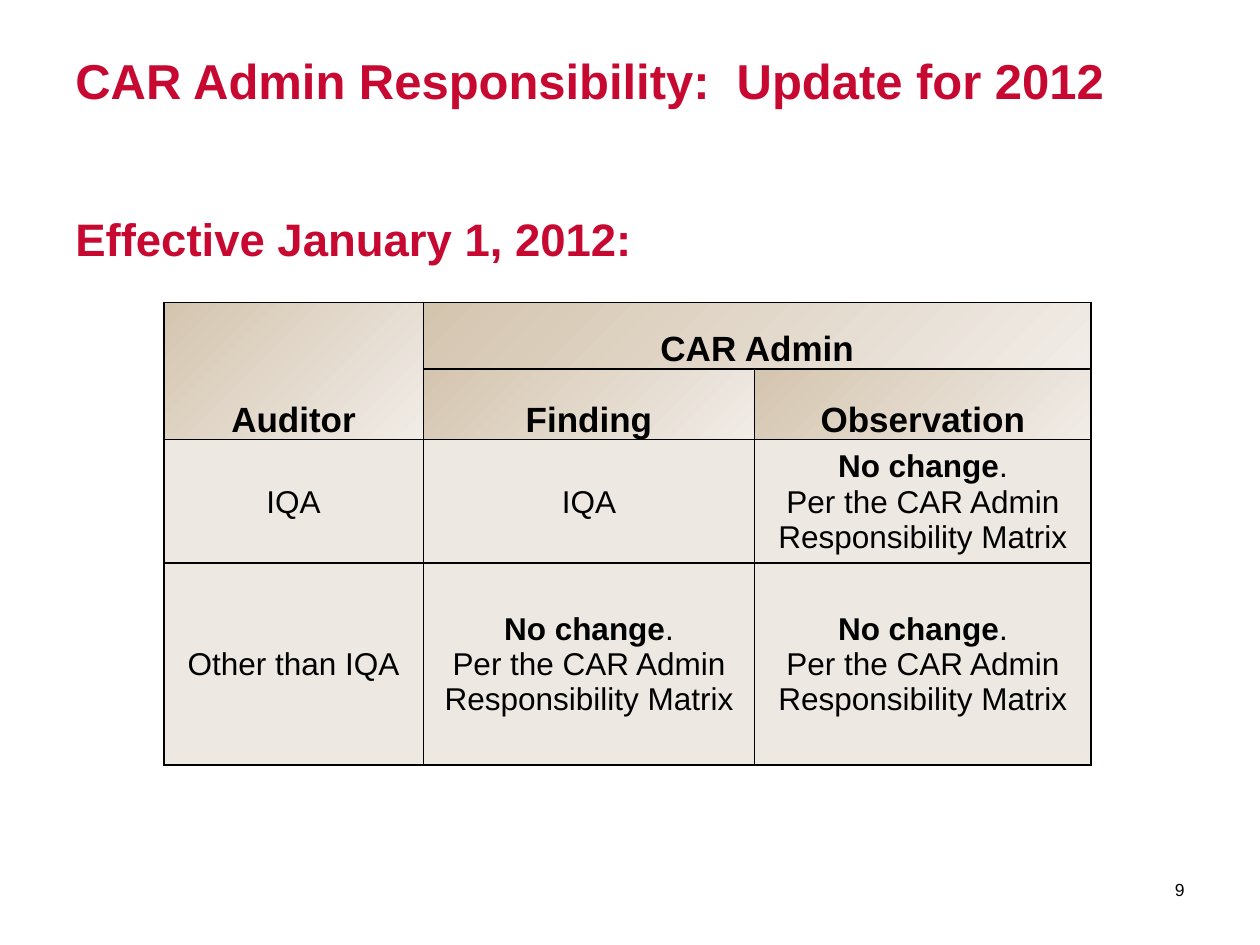
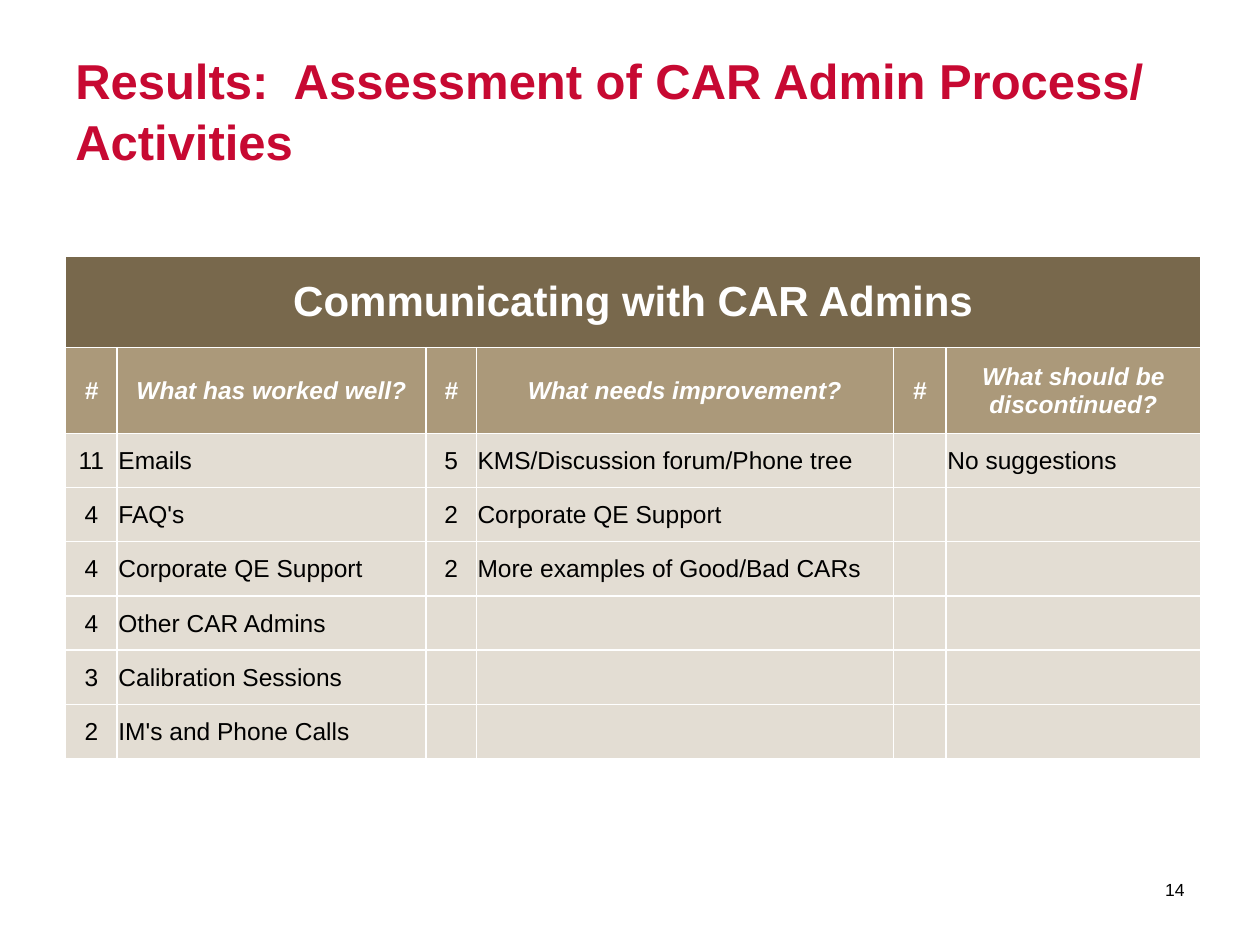
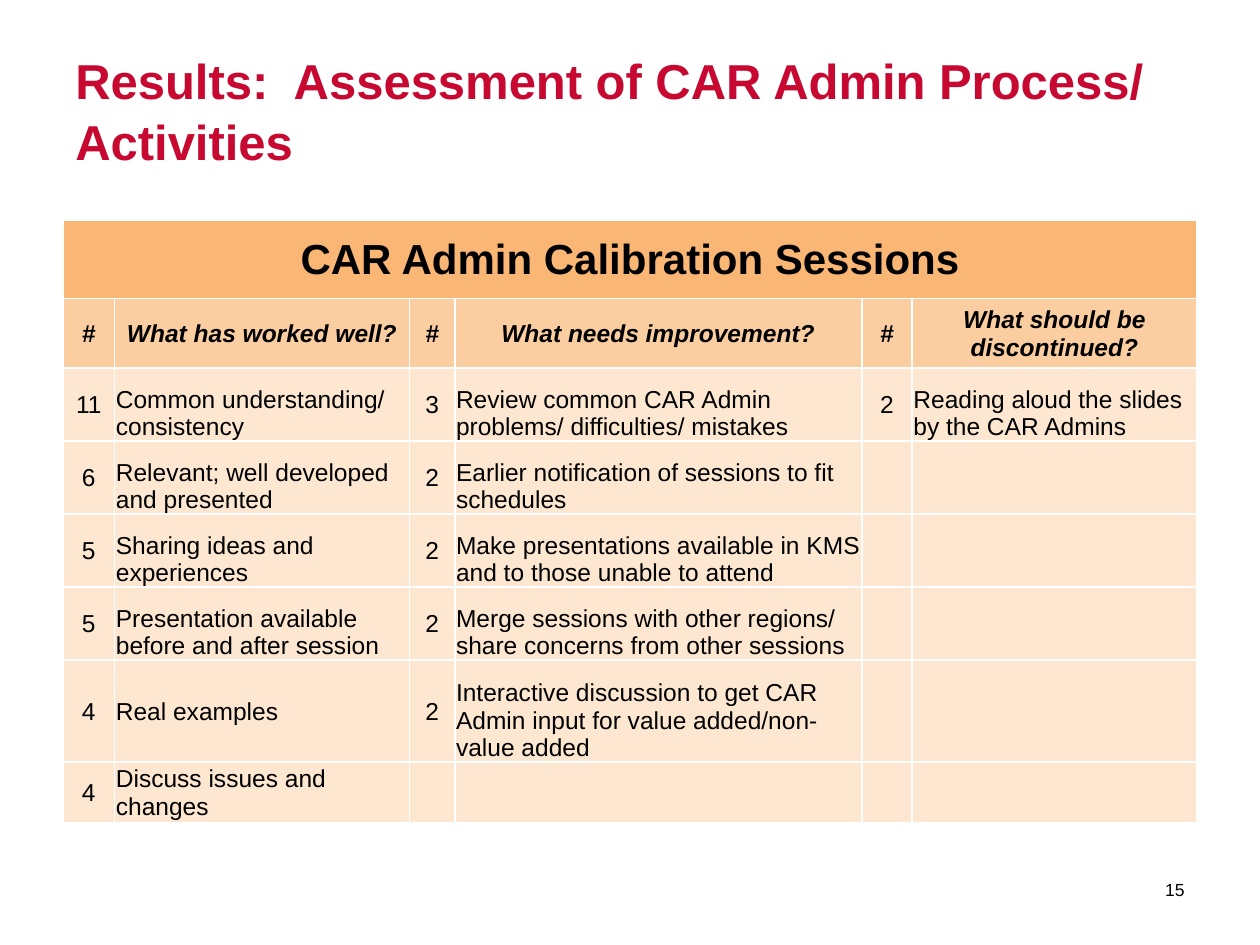
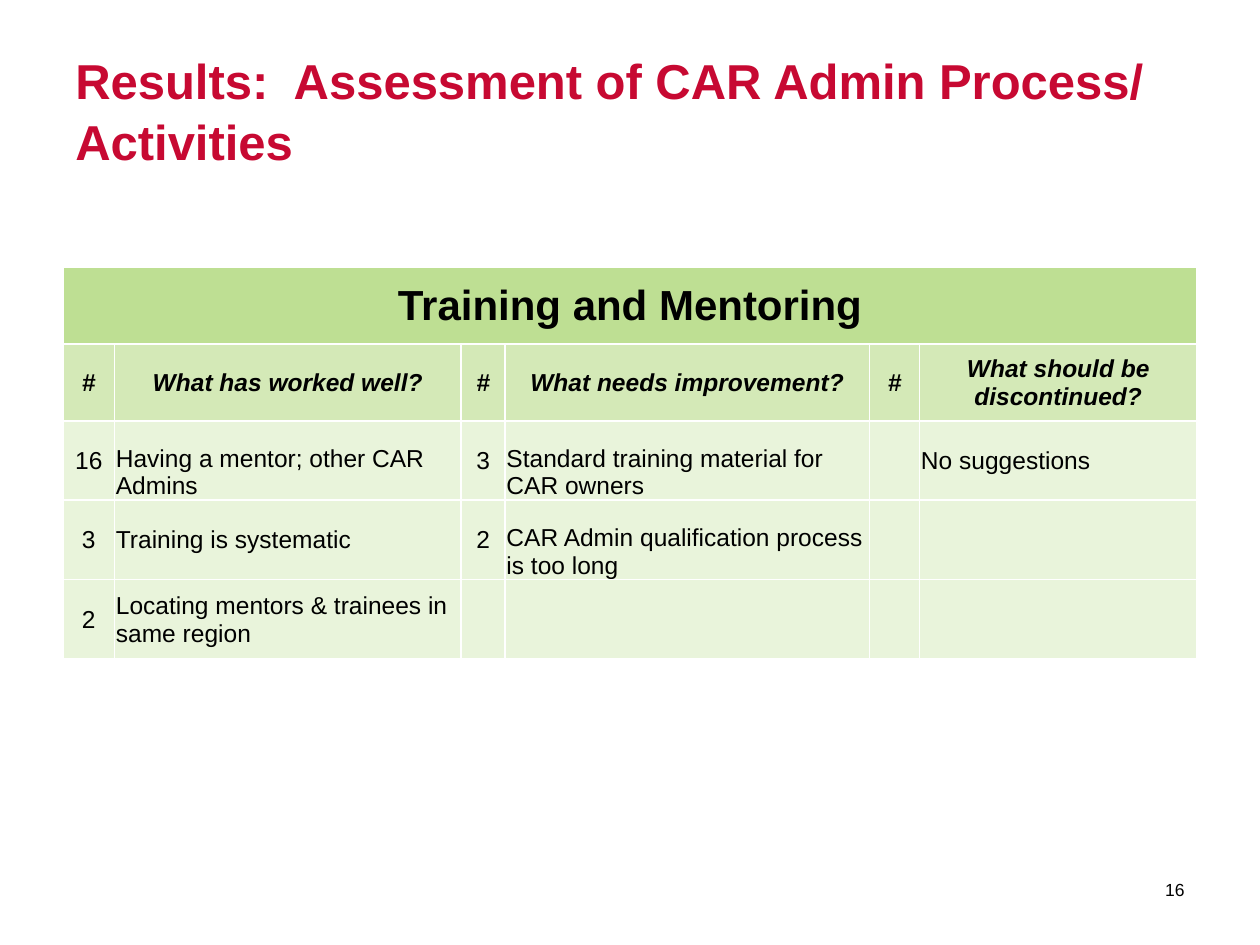
import dataclasses

import lxml.etree
import pptx
import pptx.dml.color
import pptx.enum.text
import pptx.oxml.ns
import pptx.util

Inches = pptx.util.Inches
Align = pptx.enum.text.PP_ALIGN
Anchor = pptx.enum.text.MSO_ANCHOR


def rgb(code):
    """Return the colour for a hex code."""
    return pptx.dml.color.RGBColor.from_string(code)


@dataclasses.dataclass(frozen=True)
class Theme:
    """Colours, font and type sizes shared by all slides."""

    font: str = "Arial"
    red: str = "C70932"
    black: str = "000000"
    white: str = "FFFFFF"
    sand_dark: str = "D4C5AF"
    sand_light: str = "F1ECE7"
    sand_body: str = "EDE9E2"
    title: int = 28
    subtitle: int = 26
    banner: int = 24
    matrix_head: int = 20
    matrix_body: int = 18
    survey: int = 14
    number: int = 10
    character_width: float = 0.09


@dataclasses.dataclass(frozen=True)
class Box:
    """A region of the slide in inches."""

    left: float
    top: float
    width: float
    height: float

    def lengths(self):
        """Return the four lengths for a new shape."""
        return [Inches(value) for value in dataclasses.astuple(self)]


@dataclasses.dataclass(frozen=True)
class Survey:
    """Content and look of one survey table."""

    number: int
    box: Box
    heading: str
    fills: tuple
    head_color: str
    columns: tuple
    heights: tuple
    answers: tuple


THEME = Theme()
TITLE_BOX = Box(0.5, 0.3, 9, 1.04)
SUBTITLE_BOX = Box(0.5, 1.57, 9, 5.13)
NUMBER_BOX = Box(8.8, 6.86, 0.7, 0.4)
MATRIX_BOX = Box(1.3, 2.4, 7.36, 3.67)
SURVEY_TITLE = "Results:  Assessment of CAR Admin Process/ Activities"
QUESTIONS = (
    "#", "What has worked well?",
    "#", "What needs improvement?",
    "#", "What should be discontinued?",
)
UNCHANGED = (
    (("No change", True), (".", False)),
    (("Per the CAR Admin Responsibility Matrix", False),),
)

SURVEYS = (
    Survey(
        14, Box(0.52, 2.03, 9, 4), "Communicating with CAR Admins",
        ("78684C", "AB997A", "E3DDD3"), THEME.white,
        (0.41, 2.45, 0.4, 3.31, 0.42, 2.02),
        (0.73, 0.68) + (0.43,) * 6,
        (
            ("11", "Emails", "5", "KMS/Discussion forum/Phone tree", "", "No suggestions"),
            ("4", "FAQ's", "2", "Corporate QE Support"),
            ("4", "Corporate QE Support", "2", "More examples of Good/Bad CARs"),
            ("4", "Other CAR Admins"),
            ("3", "Calibration Sessions"),
            ("2", "IM's and Phone Calls"),
        ),
    ),
    Survey(
        15, Box(0.5, 1.75, 9, 4.77), "CAR Admin Calibration Sessions",
        ("F9B674", "FBCEA2", "FDE7D1"), THEME.black,
        (0.41, 2.34, 0.36, 3.23, 0.4, 2.26),
        (0.62, 0.55) + (0.58,) * 4 + (0.81, 0.29),
        (
            ("11", "Common understanding/ consistency",
             "3", "Review common CAR Admin problems/ difficulties/ mistakes",
             "2", "Reading aloud the slides by the CAR Admins"),
            ("6", "Relevant; well developed and presented",
             "2", "Earlier notification of sessions to fit schedules"),
            ("5", "Sharing ideas and experiences",
             "2", "Make presentations available in KMS and to those unable to attend"),
            ("5", "Presentation available before and after session",
             "2", "Merge sessions with other regions/ share concerns from other sessions"),
            ("4", "Real examples",
             "2", "Interactive discussion to get CAR Admin input for value added/non-value added"),
            ("4", "Discuss issues and changes"),
        ),
    ),
    Survey(
        16, Box(0.5, 2.12, 9, 3.1), "Training and Mentoring",
        ("BEDF93", "D4E9B7", "E9F4DB"), THEME.black,
        (0.41, 2.75, 0.35, 2.89, 0.4, 2.2),
        (0.61, 0.61) + (0.63,) * 3,
        (
            ("16", "Having a mentor; other CAR Admins",
             "3", "Standard training material for CAR owners", "", "No suggestions"),
            ("3", "Training is systematic",
             "2", "CAR Admin qualification process is too long"),
            ("2", "Locating mentors & trainees in same region"),
        ),
    ),
)


def apply(target, formats):
    """Set every attribute named in a dict of format values."""
    for name, value in formats.items():
        setattr(target, name, value)


def write(frame, lines, size, color, align=Align.LEFT, italic=False):
    """Write lines of (text, bold) spans into a text frame."""
    for index, line in enumerate(lines):
        para = frame.add_paragraph() if index else frame.paragraphs[0]
        para.alignment = align
        for text, bold in line:
            span = para.add_run()
            span.text = text
            apply(span.font, {
                "name": THEME.font, "size": pptx.util.Pt(size),
                "bold": bold, "italic": italic,
            })
            span.font.color.rgb = rgb(color)


def add_text(page, box, text, size, color, bold, align, formats):
    """Add one text box with a single paragraph."""
    frame = page.shapes.add_textbox(*box.lengths()).text_frame
    apply(frame, {"word_wrap": True, **formats})
    write(frame, [[(text, bold)]], size, color, align)
    return frame


def add_heading(page, box, text, size):
    """Add a red heading at the top of its box."""
    frame = add_text(page, box, text, size, THEME.red, True, Align.LEFT,
                     {"margin_top": Inches(0.09), "vertical_anchor": Anchor.TOP})
    frame.paragraphs[0].line_spacing = 1.03


def add_page(deck, title, number):
    """Add a slide with its title and page number."""
    page = deck.slides.add_slide(deck.slide_layouts[6])
    add_heading(page, TITLE_BOX, title, THEME.title)
    add_text(page, NUMBER_BOX, str(number), THEME.number, THEME.black, False,
             Align.RIGHT, {"vertical_anchor": Anchor.MIDDLE})
    return page


def add_borders(cell, color):
    """Draw a one-point line on all four sides of a cell."""
    properties = cell._tc.get_or_add_tcPr()
    qn = pptx.oxml.ns.qn
    for index, side in enumerate(("lnL", "lnR", "lnT", "lnB")):
        line = lxml.etree.Element(qn(f"a:{side}"), w=str(pptx.util.Pt(1)))
        solid = lxml.etree.SubElement(line, qn("a:solidFill"))
        lxml.etree.SubElement(solid, qn("a:srgbClr"), val=color)
        properties.insert(index, line)


def add_grid(page, box, columns, heights, border):
    """Add a plain table with bordered cells and narrow margins."""
    table = page.shapes.add_table(len(heights), len(columns), *box.lengths()).table
    apply(table, {"first_row": False, "horz_banding": False})
    for column, width in zip(table.columns, columns):
        column.width = Inches(width)
    for row, height in zip(table.rows, heights):
        row.height = Inches(height)
    for cell in table.iter_cells():
        apply(cell, {
            "margin_left": Inches(0.01), "margin_right": Inches(0.01),
            "margin_top": Inches(0.01), "margin_bottom": 0,
            "vertical_anchor": Anchor.MIDDLE,
        })
        add_borders(cell, border)
    return table


def fill_solid(cell, color):
    """Fill a cell with one colour."""
    cell.fill.solid()
    cell.fill.fore_color.rgb = rgb(color)


def fill_gradient(cell):
    """Fill a cell with the diagonal sand gradient."""
    cell.fill.gradient()
    cell.fill.gradient_angle = 315
    for stop, color in zip(cell.fill.gradient_stops, (THEME.sand_dark, THEME.sand_light)):
        stop.color.rgb = rgb(color)


def add_matrix(page, box):
    """Add the table of CAR Admin responsibility by auditor."""
    table = add_grid(page, box, (2.06, 2.63, 2.67), (0.53, 0.56, 0.98, 1.6), THEME.black)
    heads = (("Auditor", "CAR Admin", ""), ("", "Finding", "Observation"))
    own = ((("IQA", False),),)
    other = ((("Other than IQA", False),),)
    bodies = ((own, own, UNCHANGED), (other, UNCHANGED, UNCHANGED))
    for row, texts in enumerate(heads):
        for column, text in enumerate(texts):
            cell = table.cell(row, column)
            cell.vertical_anchor = Anchor.BOTTOM
            fill_gradient(cell)
            if text:
                write(cell.text_frame, [[(text, True)]], THEME.matrix_head,
                      THEME.black, Align.CENTER)
    for row, contents in enumerate(bodies, len(heads)):
        for column, lines in enumerate(contents):
            cell = table.cell(row, column)
            fill_solid(cell, THEME.sand_body)
            write(cell.text_frame, lines, THEME.matrix_body, THEME.black, Align.CENTER)
    table.cell(0, 0).merge(table.cell(1, 0))
    table.cell(0, 1).merge(table.cell(0, 2))


def add_survey(page, box, survey):
    """Add a banner, a row of questions and the counted answers."""
    table = add_grid(page, box, survey.columns, survey.heights, THEME.white)
    banner_fill, question_fill, answer_fill = survey.fills
    for column, question in enumerate(QUESTIONS):
        fill_solid(table.cell(0, column), banner_fill)
        cell = table.cell(1, column)
        fill_solid(cell, question_fill)
        write(cell.text_frame, [[(question, True)]], THEME.survey,
              survey.head_color, Align.CENTER, italic=True)
    write(table.cell(0, 0).text_frame, [[(survey.heading, True)]], THEME.banner,
          survey.head_color, Align.CENTER)
    table.cell(0, 0).merge(table.cell(0, len(QUESTIONS) - 1))

    last = len(survey.heights) - 1
    for row, answers in enumerate(survey.answers, 2):
        for column, width in enumerate(survey.columns):
            cell = table.cell(row, column)
            fill_solid(cell, answer_fill)
            text = answers[column] if column < len(answers) else ""
            if not text:
                continue
            wraps = len(text) * THEME.character_width > width
            if wraps and row < last:
                cell.vertical_anchor = Anchor.BOTTOM
            align = Align.LEFT if column % 2 else Align.CENTER
            write(cell.text_frame, [[(text, False)]], THEME.survey, THEME.black, align)


def main():
    """Build and save the deck."""
    deck = pptx.Presentation()
    apply(deck, {"slide_width": Inches(10), "slide_height": Inches(7.5)})
    page = add_page(deck, "CAR Admin Responsibility:  Update for 2012", 9)
    add_heading(page, SUBTITLE_BOX, "Effective January 1, 2012:", THEME.subtitle)
    add_matrix(page, MATRIX_BOX)
    for survey in SURVEYS:
        page = add_page(deck, SURVEY_TITLE, survey.number)
        add_survey(page, survey.box, survey)
    deck.save("out.pptx")


if __name__ == "__main__":
    main()
